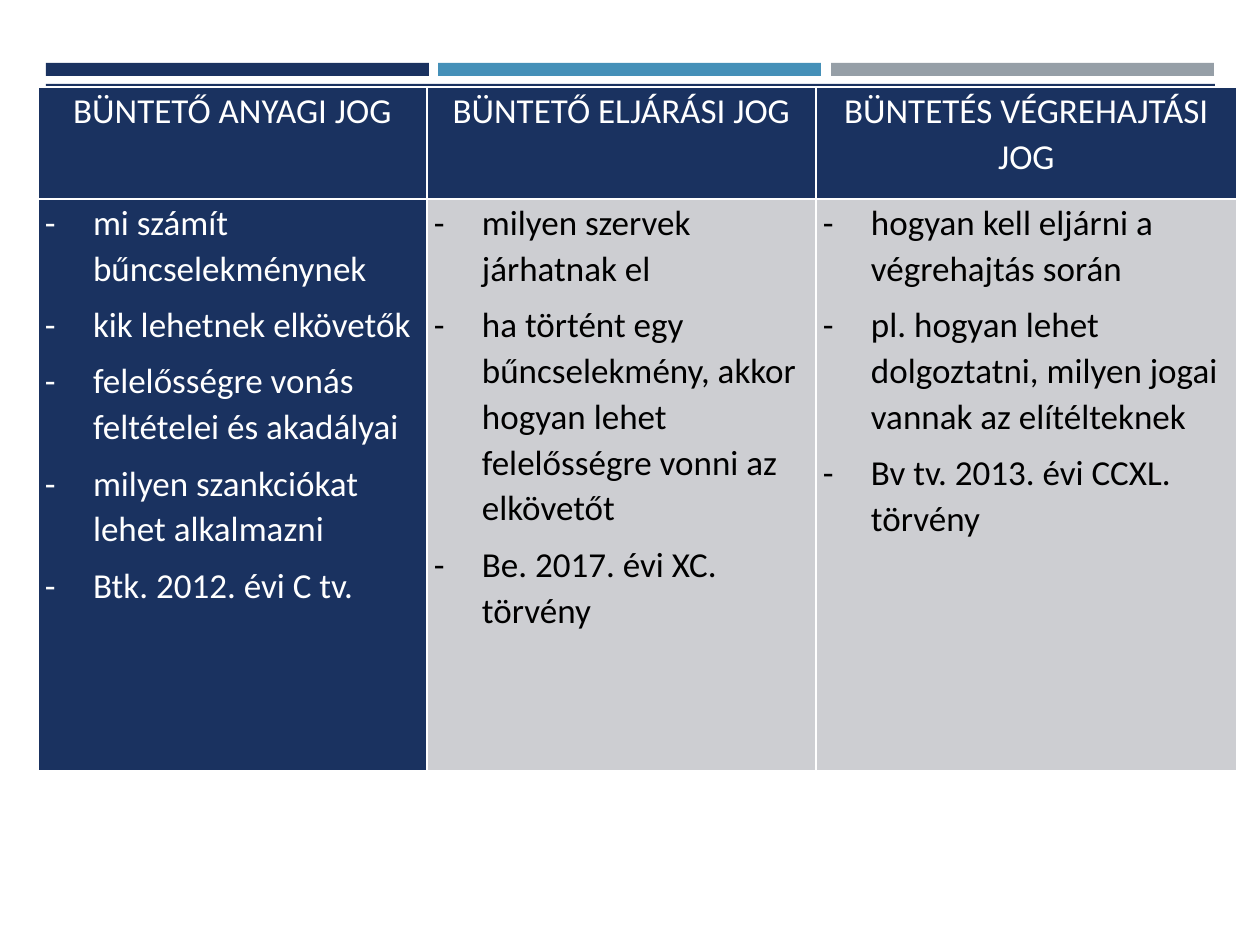
from dataclasses import dataclass

from lxml import etree
from pptx import Presentation
from pptx import util as u
from pptx.dml.color import RGBColor
from pptx.enum import shapes, text
from pptx.oxml import ns

SCALE = 914400 / 126
NAVY, BLUE, GRAY, PALE = "1A3260", "4590B8", "969FA7", "CDCED2"
WHITE, BLACK = "FFFFFF", "000000"
ROW_HEIGHTS = (112, 572)


@dataclass
class Column:
    heading: str
    points: list[str]
    width: int
    fill: str
    ink: str


COLUMNS = [
    Column("BÜNTETŐ ANYAGI JOG", [
        "mi számít bűncselekménynek",
        "kik lehetnek elkövetők",
        "felelősségre vonás feltételei és akadályai",
        "milyen szankciókat lehet alkalmazni",
        "Btk. 2012. évi C tv.",
    ], 389, NAVY, WHITE),
    Column("BÜNTETŐ ELJÁRÁSI JOG", [
        "milyen szervek járhatnak el",
        "ha történt egy bűncselekmény, akkor hogyan lehet felelősségre vonni az elkövetőt",
        "Be. 2017. évi XC. törvény",
    ], 389, PALE, BLACK),
    Column("BÜNTETÉS VÉGREHAJTÁSI JOG", [
        "hogyan kell eljárni a végrehajtás során",
        "pl. hogyan lehet dolgoztatni, milyen jogai vannak az elítélteknek",
        "Bv tv. 2013. évi CCXL. törvény",
    ], 421, PALE, BLACK),
]


def px(length: int) -> int:
    return round(length * SCALE)


def color(value: str) -> RGBColor:
    return RGBColor.from_string(value)


def child(parent, tag: str, **attributes: str):
    return etree.SubElement(parent, ns.qn(tag), attributes)


def draw_bar(page, left: int, top: int, width: int, height: int, fill: str) -> None:
    bar = page.shapes.add_shape(
        shapes.MSO_SHAPE.RECTANGLE, px(left), px(top), px(width), px(height))
    bar.shadow.inherit = False
    bar.fill.solid()
    bar.fill.fore_color.rgb = color(fill)
    bar.line.fill.background()


def style_cell(cell, fill: str) -> None:
    cell.margin_left = cell.margin_right = px(7)
    cell.margin_top = cell.margin_bottom = 0
    properties = cell._tc.get_or_add_tcPr()
    for side in ("a:lnL", "a:lnR", "a:lnT", "a:lnB"):
        border = child(properties, side, w=str(u.Pt(1)))
        child(child(border, "a:solidFill"), "a:srgbClr", val=WHITE)
    cell.fill.solid()
    cell.fill.fore_color.rgb = color(fill)


def write_cell(cell, lines: list[str], ink: str, bulleted: bool) -> None:
    cell.text_frame.text = "\n".join(lines)
    for para in cell.text_frame.paragraphs:
        properties = para._p.get_or_add_pPr()
        if bulleted:
            properties.set("marL", str(px(48)))
            properties.set("indent", str(-px(48)))
            child(properties, "a:buFont", typeface="Calibri")
            child(properties, "a:buChar", char="-")
        else:
            para.alignment = text.PP_ALIGN.CENTER
        child(child(properties, "a:tabLst"), "a:tab", pos=str(px(25)), algn="l")
        para.line_spacing = 1.07
        para.space_after = u.Pt(6)
        for span in para.runs:
            span.font.name = "Calibri"
            span.font.size = u.Pt(20)
            span.font.color.rgb = color(ink)


def draw_table(page, left: int, top: int, columns: list[Column]) -> None:
    width = sum(column.width for column in columns)
    table = page.shapes.add_table(
        len(ROW_HEIGHTS), len(columns), px(left), px(top),
        px(width), px(sum(ROW_HEIGHTS))).table
    table.first_row = table.horz_banding = False
    for row, height in zip(table.rows, ROW_HEIGHTS):
        row.height = px(height)
    for index, column in enumerate(columns):
        table.columns[index].width = px(column.width)
        heading, body = table.cell(0, index), table.cell(1, index)
        style_cell(heading, NAVY)
        write_cell(heading, [column.heading], WHITE, False)
        style_cell(body, column.fill)
        write_cell(body, column.points, column.ink, True)


def main() -> None:
    deck = Presentation()
    deck.slide_width, deck.slide_height = px(1260), px(945)
    page = deck.slides.add_slide(deck.slide_layouts[6])
    for index, fill in enumerate((NAVY, BLUE, GRAY)):
        draw_bar(page, 46 + index * 785 // 2, 63, 383, 13, fill)
    draw_bar(page, 46, 84, 1169, 164, NAVY)
    draw_table(page, 38, 87, COLUMNS)
    deck.save("out.pptx")


if __name__ == "__main__":
    main()
